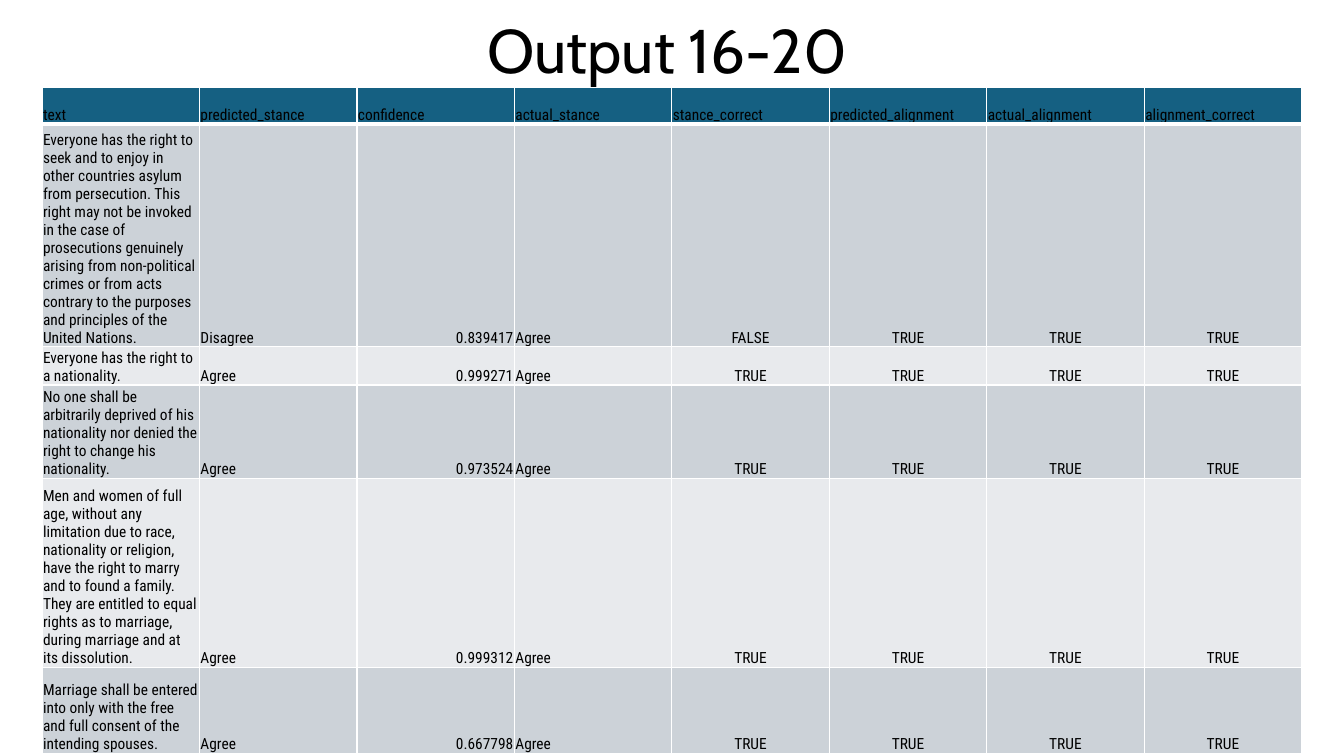
from dataclasses import dataclass

from lxml.etree import SubElement
from pptx import Presentation
from pptx.dml.color import RGBColor
from pptx.enum.text import MSO_ANCHOR as Anchor, PP_ALIGN as Align
from pptx.oxml.ns import qn
from pptx.util import Emu, Pt

SCALE = 9525  # EMU per px, 96 px to the inch
BLACK, WHITE = "000000", "FFFFFF"
TEAL, DARK, LIGHT = "156082", "CCD2D8", "E8EAED"
COL = 150
HEAD = 35
NAMES = ("text", "predicted_stance", "confidence", "actual_stance",
         "stance_correct", "predicted_alignment", "actual_alignment",
         "alignment_correct")
ALIGNS = (Align.LEFT, Align.LEFT, Align.RIGHT, Align.LEFT) + (Align.CENTER,) * 4


@dataclass
class Result:
    text: str
    score: str
    height: int
    guess: str = "Agree"
    match: str = "TRUE"

    def values(self) -> tuple[str, ...]:
        return (self.text, self.guess, self.score, "Agree", self.match) + ("TRUE",) * 3


RESULTS = (
    Result("Everyone has the right to seek and to enjoy in other countries asylum "
           "from persecution. This right may not be invoked in the case of "
           "prosecutions genuinely arising from non-political crimes or from acts "
           "contrary to the purposes and principles of the United Nations.",
           "0.839417", 195, "Disagree", "FALSE"),
    Result("Everyone has the right to a nationality.", "0.999271", 36),
    Result("No one shall be arbitrarily deprived of his nationality nor denied the "
           "right to change his nationality.", "0.973524", 82),
    Result("Men and women of full age, without any limitation due to race, "
           "nationality or religion, have the right to marry and to found a family. "
           "They are entitled to equal rights as to marriage, during marriage and "
           "at its dissolution.", "0.999312", 180),
    Result("Marriage shall be entered into only with the free and full consent of "
           "the intending spouses.", "0.667798", 82),
)


def px(n: int) -> Emu:
    return Emu(n * SCALE)


def color(code: str) -> RGBColor:
    return RGBColor.from_string(code)


def style(para, face: str, size: int, align: Align) -> None:
    para.alignment = align
    font = para.font
    font.name, font.size, font.bold = face, Pt(size), False
    font.color.rgb = color(BLACK)


def border(cell, top: int, bottom: int) -> None:
    """Draw white cell edges; top and bottom are widths in points."""
    props = cell._tc.get_or_add_tcPr()
    edges = (("L", 1), ("R", 1), ("T", top), ("B", bottom))
    for spot, (side, width) in enumerate(edges):
        line = SubElement(props, qn(f"a:ln{side}"), w=str(Pt(width)))
        fill = SubElement(line, qn("a:solidFill"))
        SubElement(fill, qn("a:srgbClr"), val=WHITE)
        props.insert(spot, line)  # edges must come before the cell fill


def add_title(slide) -> None:
    frame = slide.shapes.add_textbox(px(455), px(-45), px(370), px(192)).text_frame
    frame.word_wrap = True
    frame.vertical_anchor = Anchor.MIDDLE
    para = frame.paragraphs[0]
    para.text = "Output 16-20"
    para.line_spacing = 0.9
    style(para, "Cabin", 44, Align.LEFT)


def fill_cell(cell, text: str, back: str, align: Align) -> None:
    cell.text = text
    cell.vertical_anchor = Anchor.BOTTOM
    cell.margin_left = cell.margin_right = cell.margin_top = px(1)
    cell.margin_bottom = 0
    cell.fill.solid()
    cell.fill.fore_color.rgb = color(back)
    style(cell.text_frame.paragraphs[0], "Roboto Condensed", 11, align)


def add_grid(slide) -> None:
    heights = [HEAD] + [result.height for result in RESULTS]
    rows = [NAMES] + [result.values() for result in RESULTS]
    table = slide.shapes.add_table(len(rows), len(NAMES), px(40), px(83),
                                   px(COL * len(NAMES)), px(sum(heights))).table
    table.first_row = table.horz_banding = False
    for col in table.columns:
        col.width = px(COL)
    for r, (height, row) in enumerate(zip(heights, rows)):
        table.rows[r].height = px(height)
        back = TEAL if r == 0 else DARK if r % 2 else LIGHT
        for c, text in enumerate(row):
            cell = table.cell(r, c)
            fill_cell(cell, text, back, ALIGNS[c] if r else Align.LEFT)
            border(cell, top=3 if r == 1 else 1, bottom=3 if r == 0 else 1)


def main() -> None:
    deck = Presentation()
    deck.slide_width, deck.slide_height = px(1280), px(720)
    slide = deck.slides.add_slide(deck.slide_layouts[6])
    add_title(slide)
    add_grid(slide)
    deck.save("out.pptx")


if __name__ == "__main__":
    main()
